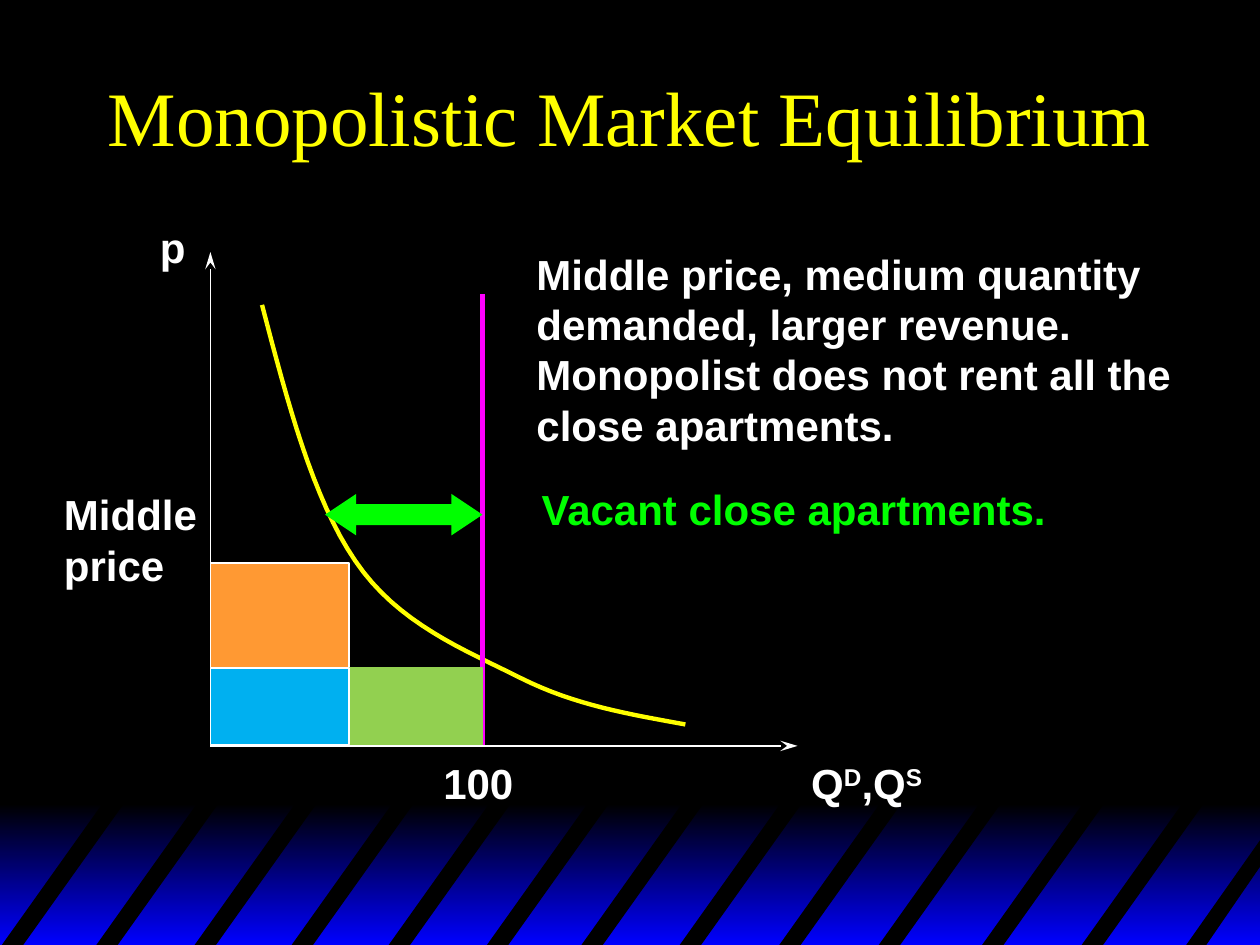
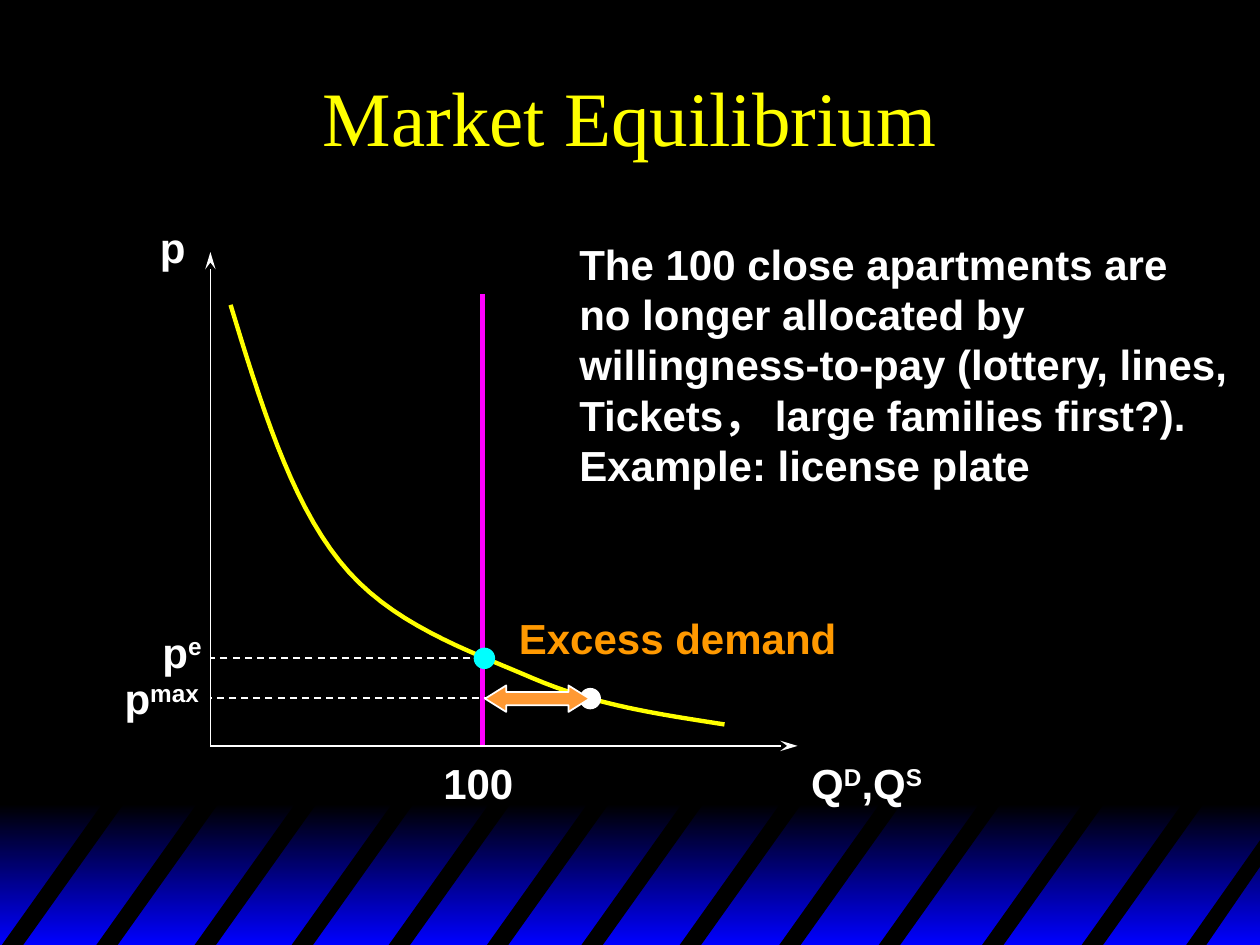
from pptx import Presentation
from pptx.dml.color import RGBColor
from pptx.enum import dml, shapes, text
from pptx.oxml.ns import qn
from pptx.util import Inches, Pt
from lxml import etree

COLOURS = {
    "black": "000000", "white": "FFFFFF", "blue": "0000FF", "yellow": "FFFF00",
    "magenta": "FF00FF", "green": "00FF00", "cyan": "00FFFF", "orange": "FF9933",
    "amber": "FF9900", "sky": "00B0F0", "lime": "92D050",
}
ORIGIN_X, ORIGIN_Y = 1.67, 5.92
SUPPLY_X = 3.83
STRIPE_LEFTS = (0, 0.75, 1.53, 2.3, 3.07, 3.85, 4.6, 5.38, 6.17, 6.96, 7.78, 8.57)
# Bezier control points of the demand curve: share of its width, height on the page
DEMAND = ((0, 2.42), (0.06, 3.19), (0.12, 3.96), (0.22, 4.45), (0.32, 4.95),
          (0.48, 5.16), (0.61, 5.38), (0.74, 5.6), (0.87, 5.67), (1, 5.75))


def colour(name):
    return RGBColor.from_string(COLOURS[name])


def bezier_point(controls, t):
    weights = ((1 - t) ** 3, 3 * t * (1 - t) ** 2, 3 * t * t * (1 - t), t ** 3)
    return tuple(sum(w * point[axis] for w, point in zip(weights, controls))
                 for axis in (0, 1))


class EconomicsDeck:
    """Holds the style of the deck and the page being drawn."""

    def __init__(self):
        self.deck = Presentation()
        self.deck.slide_width, self.deck.slide_height = Inches(10), Inches(7.5)
        self.page = None

    def add_page(self, title):
        self.page = self.deck.slides.add_slide(self.deck.slide_layouts[5])
        box = self.page.shapes.title
        box.left, box.top, box.width, box.height = map(Inches, (0.75, 0.25, 8.5, 1.33))
        frame = box.text_frame
        frame.text = title
        frame.vertical_anchor = text.MSO_ANCHOR.MIDDLE
        frame.paragraphs[0].alignment = text.PP_ALIGN.CENTER
        self.format_font(frame.paragraphs[0].runs[0], "yellow", 44, "Times New Roman", False)

    def format_font(self, span, fill, size=24, name="Arial", bold=True):
        font = span.font
        font.name, font.size, font.bold = name, Pt(size), bold
        font.color.rgb = colour(fill)

    def paint(self, shape, fill=None, line=None, width=1):
        shape.shadow.inherit = False
        if fill:
            shape.fill.solid()
            shape.fill.fore_color.rgb = colour(fill)
        else:
            shape.fill.background()
        if line:
            shape.line.color.rgb = colour(line)
            shape.line.width = Pt(width)
        else:
            shape.line.fill.background()

    def preset(self, kind, at, fill, line=None, adjustments=()):
        shape = self.page.shapes.add_shape(kind, *map(Inches, at))
        for index, value in enumerate(adjustments):
            shape.adjustments[index] = value
        self.paint(shape, fill, line)
        return shape

    def rectangle(self, at, fill, line=None):
        return self.preset(shapes.MSO_SHAPE.RECTANGLE, at, fill, line)

    def dot(self, left, top, fill):
        self.preset(shapes.MSO_SHAPE.OVAL, (left, top, 0.17, 0.17), fill)

    def double_arrow(self, at, fill, head, line=None):
        self.preset(shapes.MSO_SHAPE.LEFT_RIGHT_ARROW, at, fill, line, (0.5, head))

    def outline(self, points, closed=True, **style):
        points = [(Inches(x), Inches(y)) for x, y in points]
        builder = self.page.shapes.build_freeform(*points[0])
        builder.add_line_segments(points[1:], close=closed)
        shape = builder.convert_to_shape()
        self.paint(shape, **style)
        return shape

    def line(self, start, end, fill="white", width=1, dashed=False, arrow=False):
        line = self.page.shapes.add_connector(
            shapes.MSO_CONNECTOR.STRAIGHT, *map(Inches, start + end))
        line.line.color.rgb = colour(fill)
        line.line.width = Pt(width)
        if dashed:
            line.line.dash_style = dml.MSO_LINE.DASH
        properties = line.element.spPr
        if arrow:
            etree.SubElement(properties.find(qn("a:ln")), qn("a:tailEnd"),
                             type="stealth", w="med", len="lg")
        etree.SubElement(properties, qn("a:effectLst"))

    def label(self, at, *paragraphs, fill="white"):
        """Add bold text; parts between ^ marks are superscript."""
        frame = self.page.shapes.add_textbox(*map(Inches, at)).text_frame
        frame.word_wrap = True
        for index, words in enumerate(paragraphs):
            para = frame.add_paragraph() if index else frame.paragraphs[0]
            first, *others = words.split("^")
            para.text = first
            for number, part in enumerate(filter(None, others)):
                span = para.add_run()
                span.text = part
                if number % 2 == 0:
                    span._r.get_or_add_rPr().set("baseline", "30000")
            for span in para.runs:
                self.format_font(span, fill)

    def decorate_master(self):
        """Draw the striped band on the page, then move it to the slide master."""
        master = self.deck.slide_master
        master.background.fill.solid()
        master.background.fill.fore_color.rgb = colour("black")
        band = self.rectangle((0, 6.38, 10.02, 1.12), "blue")
        band.fill.gradient()
        band.fill.gradient_angle = 270
        for stop, name in zip(band.fill.gradient_stops, ("black", "blue")):
            stop.color.rgb = colour(name)
        stripes = [[(left, 7.52), (left + 0.84, 6.34), (left + 1.01, 6.34), (left + 0.17, 7.52)]
                   for left in STRIPE_LEFTS]
        stripes.append([(9.4, 7.52), (10.02, 6.64), (10.02, 6.85), (9.56, 7.52)])
        parts = [band] + [self.outline(stripe, fill="black") for stripe in stripes]
        for position, part in enumerate(parts, start=2):
            master.shapes.element.insert(position, part.element)

    def market_axes(self):
        self.label((1.17, 1.71, 0.5, 0.5), "p")
        self.label((6.34, 5.96, 1.2, 0.5), "Q^D^,Q^S^")
        self.label((3.42, 5.96, 0.9, 0.5), "100")
        origin = (ORIGIN_X, ORIGIN_Y)
        self.line((SUPPLY_X, ORIGIN_Y), (SUPPLY_X, 2.33), "magenta", 2.5)
        self.line(origin, (ORIGIN_X, 2), arrow=True)
        self.line(origin, (6.33, ORIGIN_Y), arrow=True)

    def demand_curve(self, left, width, steps=16):
        controls = [(left + share * width, y) for share, y in DEMAND]
        points = controls[:1]
        for start in range(0, len(controls) - 1, 3):
            points += [bezier_point(controls[start:start + 4], step / steps)
                       for step in range(1, steps + 1)]
        self.outline(points, closed=False, line="yellow", width=2.5)


def draw_monopoly(deck):
    deck.demand_curve(2.08, 3.36)
    deck.market_axes()
    deck.rectangle((ORIGIN_X, 4.47, 1.1, 1.45), "orange", "white")
    deck.label((0.41, 3.83, 1.4, 0.9), "Middle\vprice")
    deck.label((4.16, 1.92, 5.4, 1.7),
               "Middle price, medium quantity\vdemanded, larger revenue.\v"
               "Monopolist does not rent all the\vclose apartments.")
    deck.double_arrow((2.58, 3.92, 1.25, 0.33), "green", 0.75)
    deck.label((4.2, 3.79, 4.4, 0.5), "Vacant close apartments.", fill="green")
    deck.rectangle((ORIGIN_X, 5.3, 2.16, 0.61), "lime", "lime")
    deck.rectangle((ORIGIN_X, 5.3, 1.1, 0.61), "sky", "white")


def draw_price_ceiling(deck):
    deck.market_axes()
    deck.line((SUPPLY_X, 5.22), (ORIGIN_X, 5.22), dashed=True)
    deck.label((1.19, 4.92, 0.65, 0.5), "p^e^")
    deck.demand_curve(1.83, 3.92)
    deck.dot(3.76, 5.14, "cyan")
    deck.line((4.67, 5.54), (ORIGIN_X, 5.54), dashed=True)
    deck.label((0.89, 5.29, 0.95, 0.5), "p^max^")
    deck.dot(4.6, 5.46, "white")
    deck.double_arrow((3.85, 5.44, 0.83, 0.21), "orange", 0.8, "white")
    deck.label((4.02, 4.81, 2.9, 0.5), "Excess demand", fill="amber")
    deck.label((4.5, 1.84, 5.5, 2.1),
               "The 100 close apartments are",
               "no longer allocated by\vwillingness-to-pay (lottery, lines,",
               "Tickets， large families first?).",
               "Example: license plate")


def main():
    deck = EconomicsDeck()
    deck.add_page("Monopolistic Market Equilibrium")
    deck.decorate_master()
    draw_monopoly(deck)
    deck.add_page("Market Equilibrium")
    draw_price_ceiling(deck)
    deck.deck.save("out.pptx")


if __name__ == "__main__":
    main()
